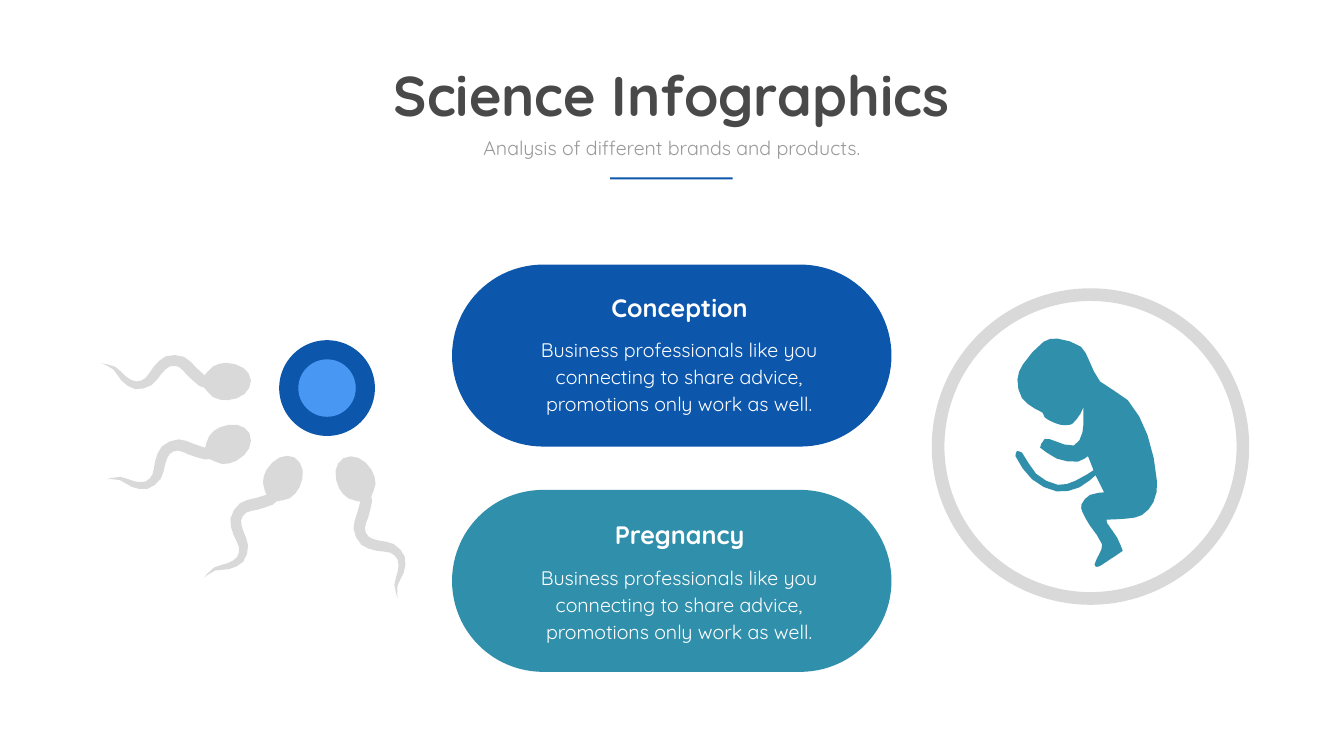
from math import cos, hypot, radians, sin

from pptx import Presentation
from pptx.dml.color import RGBColor
from pptx.enum.shapes import MSO_SHAPE as Preset
from pptx.enum.text import MSO_ANCHOR as Anchor, PP_ALIGN as Align
from pptx.util import Inches, Pt

COLORS = {
    "title": "494949", "subtitle": "999999", "white": "FFFFFF",
    "blue": "0C56AB", "light_blue": "4897F2", "teal": "308FAB", "gray": "D9D9D9",
}
FONT = "Quicksand"
BODY = "Business professionals like you connecting to share advice, promotions only work as well."

# Outline points in inches; a sperm cell is measured from the top of its head
SPERM = [
    (0, 0), (-.26, .07), (-.43, .25), (-.6, .09), (-.84, -.12), (-1.2, -.13),
    (-1.45, .09), (-1.6, .3), (-1.79, .37), (-1.99, .27), (-2.2, .08),
    (-2.47, .01), (-2.24, .13), (-2.08, .35), (-1.81, .52), (-1.48, .44),
    (-1.28, .21), (-1.12, .07), (-.94, .08), (-.78, .24), (-.53, .46),
    (-.44, .49), (-.26, .68), (.03, .74), (.36, .62), (.49, .35), (.34, .1),
]
FETUS = [
    # Back of the neck, head and face
    (2.27, 1.22), (1.72, .85), (1.5, .43), (1.34, .16), (.88, 0), (.6, .06),
    (.19, .51), (.08, .81), (.17, 1.18), (.43, 1.39), (.58, 1.47), (.62, 1.56),
    (.75, 1.64), (.94, 1.71), (1.11, 1.71), (1.18, 1.68), (1.33, 1.49), (1.39, 1.35),
    # Chest and arm
    (1.39, 1.52), (1.37, 1.86), (1.2, 2.12), (.82, 2.03), (.62, 1.99),
    (.53, 2.16), (.86, 2.38), (1.28, 2.44), (1.48, 2.33), (1.59, 2.61),
    # Umbilical cord
    (1.23, 2.82), (.88, 2.9), (.45, 2.68), (.17, 2.26), (.07, 2.23), (.04, 2.33),
    (.37, 2.79), (.86, 3.03), (1.31, 2.95), (1.63, 2.71), (1.8, 3.05),
    # Leg and foot
    (1.52, 3.1), (1.35, 3.29), (1.37, 3.44), (1.52, 3.71), (1.76, 4.08),
    (1.7, 4.28), (1.61, 4.48), (1.66, 4.53), (1.78, 4.47), (2.17, 4.21),
    (2.06, 3.95), (1.86, 3.66), (1.85, 3.59),
    # Seat and back
    (2.25, 3.57), (2.55, 3.5), (2.78, 3.24), (2.85, 2.84), (2.66, 1.91),
]


def paint(shape, color):
    shape.shadow.inherit = False
    shape.fill.solid()
    shape.fill.fore_color.rgb = RGBColor.from_string(COLORS[color])
    shape.line.fill.background()


def add_preset(page, preset, left, top, width, height, color, adjust=None):
    shape = page.shapes.add_shape(preset, Inches(left), Inches(top), Inches(width), Inches(height))
    if adjust is not None:
        shape.adjustments[0] = adjust
    paint(shape, color)


def add_text(page, text, left, top, width, height, size, color, bold=False, wrap=True, spacing=None):
    box = page.shapes.add_textbox(Inches(left), Inches(top), Inches(width), Inches(height))
    frame = box.text_frame
    frame.word_wrap = wrap
    frame.vertical_anchor = Anchor.TOP
    frame.margin_top = frame.margin_bottom = Inches(.04)
    para = frame.paragraphs[0]
    para.alignment = Align.CENTER
    if spacing:
        para.line_spacing = Pt(spacing)
    span = para.add_run()
    span.text = text
    span.font.name = FONT
    span.font.size = Pt(size)
    span.font.bold = bold
    span.font.color.rgb = RGBColor.from_string(COLORS[color])


def tangent(before, point, after):
    """Unit direction of the curve at a point, or zero at a sharp corner."""
    ax, ay = point[0] - before[0], point[1] - before[1]
    bx, by = after[0] - point[0], after[1] - point[1]
    if ax * bx + ay * by < .2 * hypot(ax, ay) * hypot(bx, by):
        return 0, 0
    length = hypot(ax + bx, ay + by)
    return (ax + bx) / length, (ay + by) / length


def smooth(points):
    """Add the middle of each Hermite arc between neighbouring points."""
    count = len(points)
    slopes = [tangent(points[i - 1], points[i], points[(i + 1) % count]) for i in range(count)]
    curve = []
    for i, start in enumerate(points):
        j = (i + 1) % count
        end = points[j]
        chord = hypot(end[0] - start[0], end[1] - start[1])
        middle = tuple((start[k] + end[k]) / 2 + (slopes[i][k] - slopes[j][k]) * chord / 8 for k in (0, 1))
        curve += [start, middle]
    return curve


def add_outline(page, points, left, top, color, angle=0):
    """Draw a smooth outline, turned counterclockwise about its origin."""
    c, s = cos(radians(angle)), sin(radians(angle))
    curve = [(Inches(left + x * c + y * s), Inches(top - x * s + y * c)) for x, y in smooth(points)]
    builder = page.shapes.build_freeform(*curve[0], scale=1.0)
    builder.add_line_segments(curve[1:], close=True)
    paint(builder.convert_to_shape(), color)


def add_header(page, left, top, width):
    add_text(page, "Science Infographics", left, top, width, 1.45, size=80, color="title", bold=True, wrap=False)
    add_text(page, "Analysis of different brands and products.", left + 1.06, top + 1.48, 9.56, .57,
             size=28, color="subtitle")
    add_preset(page, Preset.RECTANGLE, left + (width - 2.43) / 2, top + 2.35, 2.43, .04, "blue")


def add_conception(page, left, top):
    # Sperm cells: head position and angle
    for x, y, angle in [(2.53, .45, 0), (2.4, 1.73, 24.4), (3.33, 2.57, 59.7), (4.77, 2.94, 117.8)]:
        add_outline(page, SPERM, left + x, top + y, "gray", angle)
    # Egg cell and its core, around one centre
    for diameter, color in [(1.9, "blue"), (1.14, "light_blue")]:
        add_preset(page, Preset.OVAL, left + 4.53 - diameter / 2, top + .95 - diameter / 2,
                   diameter, diameter, color)


def add_womb(page, left, top, width, height):
    add_preset(page, Preset.DONUT, left, top, width, height, "gray", adjust=.04)
    add_outline(page, FETUS, left + 1.62, top + 1, "teal")


def add_pill(page, left, top, width, height, heading, color, text_top):
    add_preset(page, Preset.ROUNDED_RECTANGLE, left, top, width, height, color, adjust=.5)
    add_text(page, heading, left + 2.07, top + text_top, 4.89, .71, size=36, color="white", bold=True)
    add_text(page, BODY, left + 1.2, top + text_top + .84, 6.61, 1.72, size=28, color="white", spacing=38.6)


def main():
    deck = Presentation()
    deck.slide_width, deck.slide_height = Inches(26.67), Inches(15)
    page = deck.slides.add_slide(deck.slide_layouts[6])
    add_header(page, 7.49, 1.17, 11.67)
    add_conception(page, 1.96, 6.75)
    add_womb(page, 18.49, 5.72, 6.3, 6.28)
    add_pill(page, 8.97, 5.25, 8.72, 3.61, "Conception", "blue", text_top=.5)
    add_pill(page, 8.97, 9.72, 8.72, 3.61, "Pregnancy", "teal", text_top=.55)
    deck.save("out.pptx")


if __name__ == "__main__":
    main()
